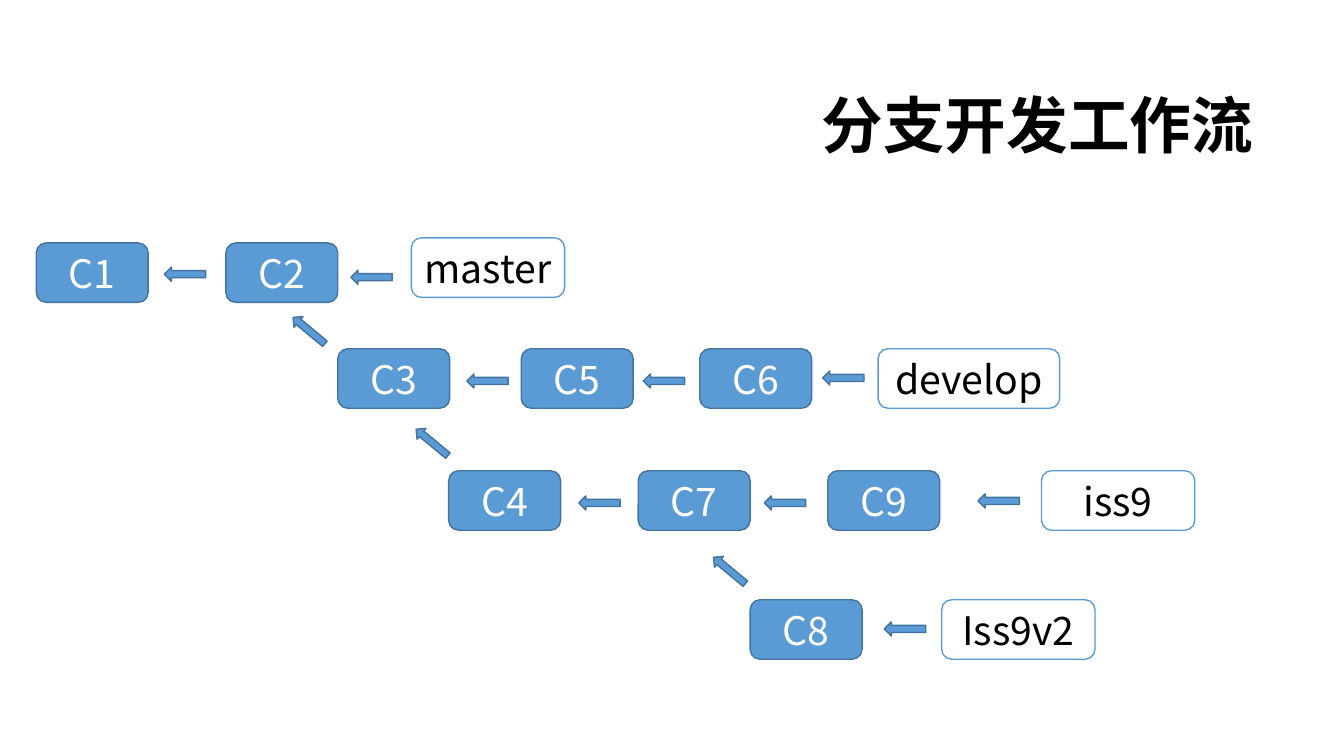
from dataclasses import dataclass

import pptx
import pptx.dml.color
import pptx.enum.shapes
import pptx.enum.text
import pptx.oxml
import pptx.oxml.ns
import pptx.util

Inches = pptx.util.Inches
Pt = pptx.util.Pt
RGBColor = pptx.dml.color.RGBColor
Shapes = pptx.enum.shapes.MSO_SHAPE
Align = pptx.enum.text.PP_ALIGN
Anchor = pptx.enum.text.MSO_ANCHOR

FONT = "Noto Sans CJK SC"
COLORS = {"blue": "5B9BD5", "edge": "43739E", "white": "FFFFFF", "black": "000000"}
BOX_HEIGHT = 0.59
COMMIT_WIDTH = 1.11
ARROW_WIDTH, ARROW_HEIGHT = 0.41, 0.14
FORK_ANGLE = 39.7
FRAME_FORMAT = {
    "word_wrap": True,
    "auto_size": pptx.enum.text.MSO_AUTO_SIZE.NONE,
    "vertical_anchor": Anchor.MIDDLE,
}


@dataclass(frozen=True)
class Style:
    fill: str
    line: str
    text: str


@dataclass(frozen=True)
class Node:
    text: str
    left: float


@dataclass(frozen=True)
class Label:
    text: str
    left: float
    top: float
    width: float = 1.52


@dataclass(frozen=True)
class Arrow:
    left: float
    top: float
    angle: float = 0


@dataclass(frozen=True)
class Branch:
    top: float
    commits: tuple[Node, ...]
    label: Label
    arrows: tuple[Arrow, ...]


COMMIT = Style("blue", "edge", "white")
LABEL = Style("white", "blue", "black")

BRANCHES = (
    Branch(2.41, (Node("C1", 0.36), Node("C2", 2.24)), Label("master", 4.08, 2.36),
           (Arrow(1.63, 2.65), Arrow(3.48, 2.68))),
    Branch(3.46, (Node("C3", 3.35), Node("C5", 5.17), Node("C6", 6.94)),
           Label("develop", 8.71, 3.46, 1.8),
           (Arrow(2.86, 3.21, FORK_ANGLE), Arrow(4.63, 3.71), Arrow(6.38, 3.71),
            Arrow(8.16, 3.68))),
    Branch(4.67, (Node("C4", 4.45), Node("C7", 6.33), Node("C9", 8.21)),
           Label("iss9", 10.33, 4.67),
           (Arrow(4.08, 4.32, FORK_ANGLE), Arrow(5.74, 4.92), Arrow(7.58, 4.92),
            Arrow(9.7, 4.9))),
    Branch(5.95, (Node("C8", 7.44),), Label("Iss9v2", 9.34, 5.95),
           (Arrow(7.03, 5.59, FORK_ANGLE), Arrow(8.77, 6.17))),
)


def color(name: str) -> RGBColor:
    return RGBColor.from_string(COLORS[name])


def apply(target, values: dict) -> None:
    for name, value in values.items():
        setattr(target, name, value)


def write(shape, text: str, size: float, ink: str, align: Align, bold: bool = False):
    apply(shape.text_frame, FRAME_FORMAT)
    para = shape.text_frame.paragraphs[0]
    para.alignment = align
    span = para.add_run()
    span.text = text
    apply(span.font, {"name": FONT, "size": Pt(size), "bold": bold})
    span.font.color.rgb = color(ink)
    east_asian = pptx.oxml.parse_xml(
        f'<a:ea {pptx.oxml.ns.nsdecls("a")} typeface="{FONT}"/>')
    span.font._element.find(pptx.oxml.ns.qn("a:latin")).addnext(east_asian)
    return para


def add_outlined(page, kind: Shapes, left: float, top: float, width: float,
                 height: float, style: Style):
    shape = page.shapes.add_shape(
        kind, Inches(left), Inches(top), Inches(width), Inches(height))
    shape.shadow.inherit = False
    shape.fill.solid()
    shape.fill.fore_color.rgb = color(style.fill)
    shape.line.color.rgb = color(style.line)
    shape.line.width = Pt(1)
    return shape


def add_box(page, text: str, left: float, top: float, width: float, style: Style) -> None:
    box = add_outlined(page, Shapes.ROUNDED_RECTANGLE, left, top, width, BOX_HEIGHT, style)
    write(box, text, 28, style.text, Align.CENTER)


def add_arrow(page, arrow: Arrow) -> None:
    shape = add_outlined(page, Shapes.LEFT_ARROW, arrow.left, arrow.top,
                         ARROW_WIDTH, ARROW_HEIGHT, COMMIT)
    shape.rotation = arrow.angle


def add_branch(page, branch: Branch) -> None:
    for node in branch.commits:
        add_box(page, node.text, node.left, branch.top, COMMIT_WIDTH, COMMIT)
    label = branch.label
    add_box(page, label.text, label.left, label.top, label.width, LABEL)
    for arrow in branch.arrows:
        add_arrow(page, arrow)


def add_title(page, text: str) -> None:
    title = page.shapes.title
    apply(title, {"left": Inches(1.03), "top": Inches(0.55),
                  "width": Inches(11.5), "height": Inches(1.45)})
    para = write(title, text, 44, "black", Align.RIGHT, bold=True)
    para.line_spacing = 0.9


deck = pptx.Presentation()
apply(deck, {"slide_width": Inches(13.33), "slide_height": Inches(7.5)})
page = deck.slides.add_slide(deck.slide_layouts.get_by_name("Title Only"))
page.background.fill.solid()
page.background.fill.fore_color.rgb = color("white")
add_title(page, "分支开发工作流")
for branch in BRANCHES:
    add_branch(page, branch)
deck.save("out.pptx")
